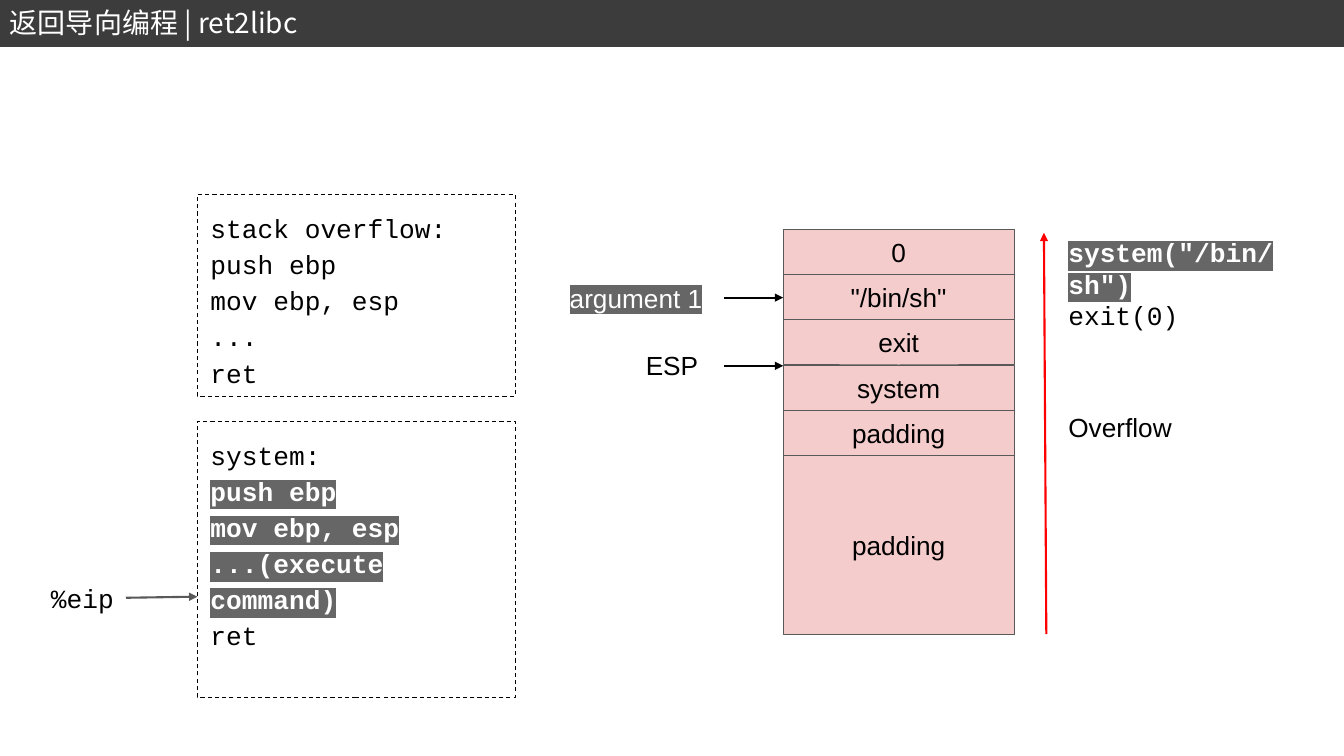
from lxml import etree
from pptx import Presentation
from pptx.dml.color import RGBColor
from pptx.enum.dml import MSO_LINE
from pptx.enum.shapes import MSO_CONNECTOR, MSO_SHAPE
from pptx.enum.text import MSO_ANCHOR, PP_ALIGN
from pptx.oxml.ns import qn
from pptx.util import Pt

RECT = MSO_SHAPE.RECTANGLE
LINE = MSO_CONNECTOR.STRAIGHT
DASH = MSO_LINE.DASH
TOP, MID = MSO_ANCHOR.TOP, MSO_ANCHOR.MIDDLE
LEFT, MIDDLE, RIGHT = PP_ALIGN.LEFT, PP_ALIGN.CENTER, PP_ALIGN.RIGHT
SANS, MONO, HAN = "Arial", "Courier New", "Noto Sans CJK SC"
COLORS = {
    "black": "000000", "white": "FFFFFF", "bar": "3C3C3C", "mark": "666666",
    "pink": "F4CCCC", "gray": "595959", "red": "FF0000",
}
RGB = {name: RGBColor.from_string(code) for name, code in COLORS.items()}


def write(shape, lines, font, align=LEFT, anchor=TOP, space=None,
          size=18.7, color="black", inset=9.36, bold=True):
    frame = shape.text_frame
    frame.word_wrap = True
    frame.vertical_anchor = anchor
    if inset:
        frame.margin_left = frame.margin_right = Pt(inset)
        frame.margin_top = frame.margin_bottom = Pt(inset)
    for i, (text, marked) in enumerate(lines):
        para = frame.paragraphs[0] if i == 0 else frame.add_paragraph()
        para.alignment = align
        if space:
            para.line_spacing = space
        run = para.add_run()
        run.text = text
        run.font.size = Pt(size)
        run.font.bold = marked and bold
        run.font.color.rgb = RGB["white" if marked else color]
        run.font.name = font
        props = run.font._element
        east = etree.SubElement(props, qn("a:ea"))
        east.set("typeface", font)
        if marked:
            light = etree.Element(qn("a:highlight"))
            etree.SubElement(light, qn("a:srgbClr")).set("val", COLORS["mark"])
            props.find(qn("a:solidFill")).addnext(light)


def box(x, y, w, h, fill, line, width=0.75):
    shape = slide.shapes.add_shape(RECT, Pt(x), Pt(y), Pt(w), Pt(h))
    shape.shadow.inherit = False
    if fill:
        shape.fill.solid()
        shape.fill.fore_color.rgb = RGB[fill]
    else:
        shape.fill.background()
    shape.line.color.rgb = RGB[line]
    shape.line.width = Pt(width)
    return shape


deck = Presentation()
deck.slide_width, deck.slide_height = Pt(960), Pt(540)
slide = deck.slides.add_slide(deck.slide_layouts[6])

box(0, 0.7, 960, 31.7, "bar", "bar", 2)
title = slide.shapes.add_textbox(Pt(0), Pt(0.7), Pt(444), Pt(31.7))
write(title, [("返回导向编程 | ret2libc", False)], HAN,
      size=20, color="white", inset=None)

CELL = 32.25
y = 164
for text, rows in [("0", 1), ('"/bin/sh"', 1), ("exit", 1),
                   ("system", 1), ("padding", 1), ("padding", 3.97)]:
    cell = box(559.4, y, 165, CELL * rows, "pink", "gray")
    write(cell, [(text, False)], SANS, MIDDLE, MID)
    y += CELL * rows

CODE = [
    (139, 144, [("stack overflow:", False), ("push ebp", False),
                ("mov ebp, esp", False), ("...", False), ("ret", False)]),
    (301, 197, [("system:", False), ("push ebp", True),
                ("mov ebp, esp", True), ("...(execute command)", True),
                ("ret", False)]),
]
for y, h, lines in CODE:
    block = box(141, y, 227, h, None, "black")
    block.line.dash_style = DASH
    write(block, lines, MONO, space=1.15)

LABELS = [
    (446.5, 244.8, 67, 32.4, [("ESP", False)], SANS, MIDDLE, MID),
    (395.3, 196.6, 118, 32.4, [("argument 1", True)], SANS, MIDDLE, MID),
    (23, 412.6, 67.7, 28.8, [("%eip", False)], MONO, RIGHT, MID),
    (753.8, 284.4, 95, 32.4, [("Overflow", False)], SANS, LEFT, TOP),
    (753.8, 159.8, 196.6, 72,
     [('system("/bin/sh")', True), ("exit(0)", False)], MONO, LEFT, TOP),
]
for x, y, w, h, lines, font, align, anchor in LABELS:
    label = slide.shapes.add_textbox(Pt(x), Pt(y), Pt(w), Pt(h))
    write(label, lines, font, align, anchor, bold=font == MONO)

ARROWS = [
    (517, 212.6, 559.4, 212.6, "black"),
    (517, 261.3, 559.4, 261.3, "black"),
    (747.4, 453, 745.7, 166.3, "red"),
    (90, 427, 141, 426.2, "gray"),
]
for x1, y1, x2, y2, color in ARROWS:
    arrow = slide.shapes.add_connector(LINE, Pt(x1), Pt(y1), Pt(x2), Pt(y2))
    arrow.line.color.rgb = RGB[color]
    arrow.line.width = Pt(1.5)
    props = arrow._element.spPr
    tail = etree.SubElement(props.find(qn("a:ln")), qn("a:tailEnd"))
    tail.set("type", "triangle")
    etree.SubElement(props, qn("a:effectLst"))

deck.save("out.pptx")
